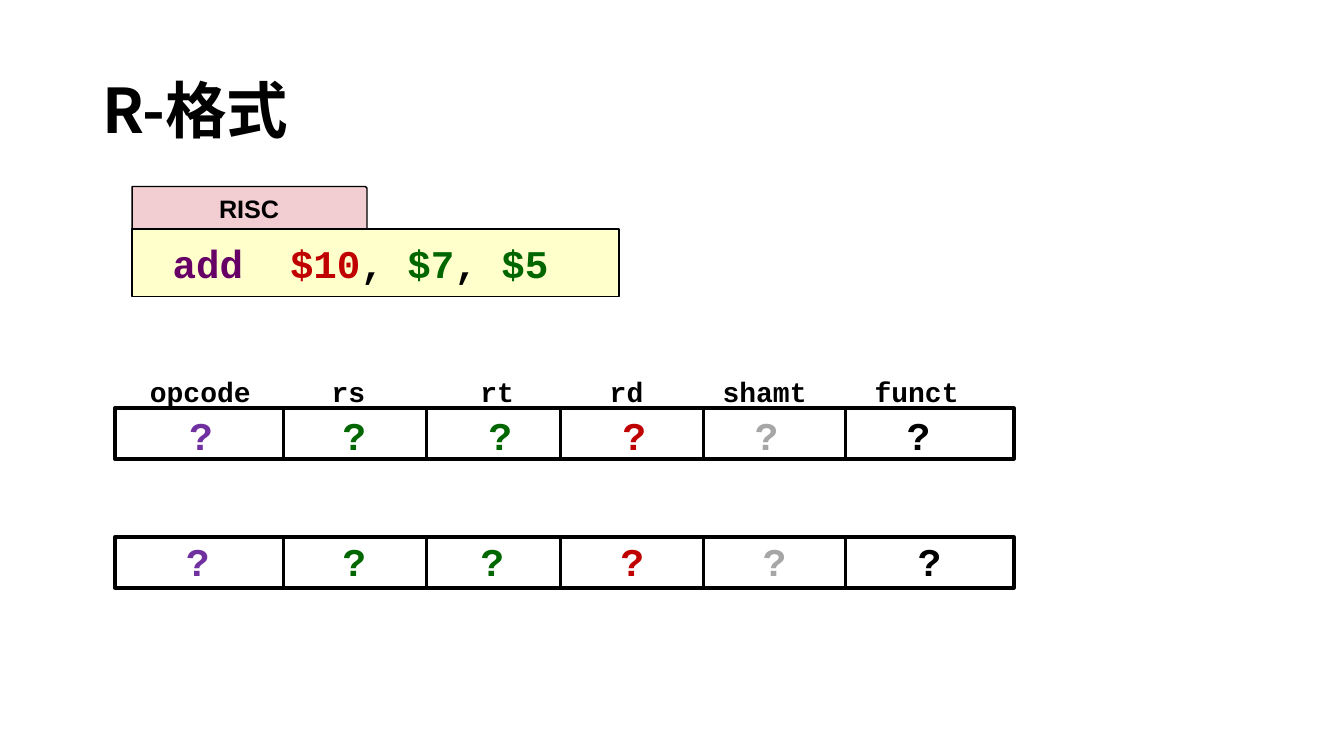
"""Build the slide that introduces the fields of the R instruction format."""
from dataclasses import dataclass

import pptx
import pptx.dml.color
import pptx.enum.shapes
import pptx.enum.text
import pptx.oxml
import pptx.oxml.ns
import pptx.util
from pptx.util import Cm

TITLE = "R-格式"
LANGUAGE = "RISC"
INSTRUCTION = [("add  ", "operation"), ("$10", "target"), (", ", "ink"),
               ("$7", "source"), (", ", "ink"), ("$5", "source")]
FIELD_NAMES = ["opcode", "rs", "rt", "rd", "shamt", "funct"]
FIELD_COLOURS = ["opcode", "source", "source", "target", "unused", "ink"]
UNKNOWN = "?"

FIELD_EDGES = [2.9, 7.14, 10.74, 14.12, 17.73, 21.31, 25.55]
NAME_CENTRES = [5.05, 8.78, 12.53, 15.79, 19.27, 23.1]
NAME_TOP = 9.32
REGISTERS = [
    {"top": 10.29, "value_top": 10.24,
     "centres": [5.07, 8.93, 12.61, 15.99, 19.32, 23.15]},
    {"top": 13.54, "value_top": 13.41,
     "centres": [4.99, 8.93, 12.41, 15.94, 19.52, 23.43]},
]
REGISTER_HEIGHT = 1.27
CODE_LEFT, CODE_TOP, CODE_WIDTH, CODE_HEIGHT = 3.33, 5.77, 12.27, 1.7
TAB_WIDTH, TAB_HEIGHT = 5.92, 1.07

SHAPE = pptx.enum.shapes.MSO_SHAPE
ALIGN = pptx.enum.text.PP_ALIGN
MIDDLE = pptx.enum.text.MSO_ANCHOR.MIDDLE


@dataclass(frozen=True)
class Theme:
    title_font: str = "Noto Sans CJK SC"
    code_font: str = "Courier New"
    tab_font: str = "Arial"
    title_size: int = 44
    code_size: int = 28
    name_size: int = 20
    tab_size: int = 18
    frame_line: float = 3
    divider_line: float = 2.25
    panel_line: float = 1
    ink: str = "000000"
    operation: str = "660066"
    opcode: str = "7030A0"
    source: str = "006600"
    target: str = "C00000"
    unused: str = "A6A6A6"
    code_fill: str = "FFFFCC"
    tab_fill: str = "F2CED2"


THEME = Theme()


def rgb(colour):
    return pptx.dml.color.RGBColor.from_string(colour)


def style_font(font, name, size, colour=THEME.ink):
    font.name = name
    font.size = pptx.util.Pt(size)
    font.bold = True
    font.color.rgb = rgb(colour)


def style_line(line, width):
    line.color.rgb = rgb(THEME.ink)
    line.width = pptx.util.Pt(width)


def add_box(page, kind, left, top, width, height, line_width, fill=None):
    box = page.shapes.add_shape(kind, Cm(left), Cm(top), Cm(width), Cm(height))
    box.shadow.inherit = False
    style_line(box.line, line_width)
    if fill:
        box.fill.solid()
        box.fill.fore_color.rgb = rgb(fill)
    else:
        box.fill.background()
    box.text_frame.vertical_anchor = MIDDLE
    return box


def add_label(page, text, centre, top, width, height, size, colour=THEME.ink):
    box = page.shapes.add_textbox(Cm(centre - width / 2), Cm(top), Cm(width), Cm(height))
    box.text_frame.word_wrap = True
    para = box.text_frame.paragraphs[0]
    para.text = text
    para.alignment = ALIGN.CENTER
    style_font(para.font, THEME.code_font, size, colour)


def add_title(page):
    title = page.shapes.title
    title.left, title.top, title.width, title.height = Cm(2.33), Cm(1.01), Cm(29.21), Cm(3.68)
    title.text_frame.vertical_anchor = MIDDLE
    para = title.text_frame.paragraphs[0]
    para.text = TITLE
    para.alignment = ALIGN.LEFT
    para.line_spacing = 0.9
    style_font(para.font, THEME.title_font, THEME.title_size)
    latin = para._p.pPr.find(".//" + pptx.oxml.ns.qn("a:latin"))
    east_asian = pptx.oxml.parse_xml(f'<a:ea {pptx.oxml.ns.nsdecls("a")}/>')
    east_asian.set("typeface", THEME.title_font)
    latin.addnext(east_asian)


def add_instruction(page):
    panel = add_box(page, SHAPE.RECTANGLE, CODE_LEFT, CODE_TOP, CODE_WIDTH, CODE_HEIGHT,
                    THEME.panel_line, THEME.code_fill)
    panel.text_frame.margin_left = Cm(1.02)
    para = panel.text_frame.paragraphs[0]
    para.alignment = ALIGN.LEFT
    for text, role in INSTRUCTION:
        span = para.add_run()
        span.text = text
        style_font(span.font, THEME.code_font, THEME.code_size, getattr(THEME, role))

    tab = add_box(page, SHAPE.SNIP_1_RECTANGLE, CODE_LEFT, CODE_TOP - TAB_HEIGHT,
                  TAB_WIDTH, TAB_HEIGHT, THEME.panel_line, THEME.tab_fill)
    tab.adjustments[0] = 0.04
    para = tab.text_frame.paragraphs[0]
    para.text = LANGUAGE
    para.alignment = ALIGN.CENTER
    style_font(para.font, THEME.tab_font, THEME.tab_size)


def add_register(page, top, value_top, centres):
    left, *dividers, right = FIELD_EDGES
    add_box(page, SHAPE.RECTANGLE, left, top, right - left, REGISTER_HEIGHT, THEME.frame_line)
    for x in dividers:
        divider = page.shapes.add_connector(
            pptx.enum.shapes.MSO_CONNECTOR.STRAIGHT,
            Cm(x), Cm(top), Cm(x), Cm(top + REGISTER_HEIGHT))
        style_line(divider.line, THEME.divider_line)
        no_effects = pptx.oxml.parse_xml(f'<a:effectLst {pptx.oxml.ns.nsdecls("a")}/>')
        divider._element.spPr.append(no_effects)
    for centre, role in zip(centres, FIELD_COLOURS):
        add_label(page, UNKNOWN, centre, value_top, 1.8, 1.45,
                  THEME.code_size, getattr(THEME, role))


def main():
    deck = pptx.Presentation()
    deck.slide_width, deck.slide_height = Cm(33.87), Cm(19.05)
    page = deck.slides.add_slide(deck.slide_layouts.get_by_name("Title Only"))
    add_title(page)
    add_instruction(page)
    for name, centre in zip(FIELD_NAMES, NAME_CENTRES):
        add_label(page, name, centre, NAME_TOP, 3.2, 1.1, THEME.name_size)
    for register in REGISTERS:
        add_register(page, **register)
    deck.save("out.pptx")


if __name__ == "__main__":
    main()
